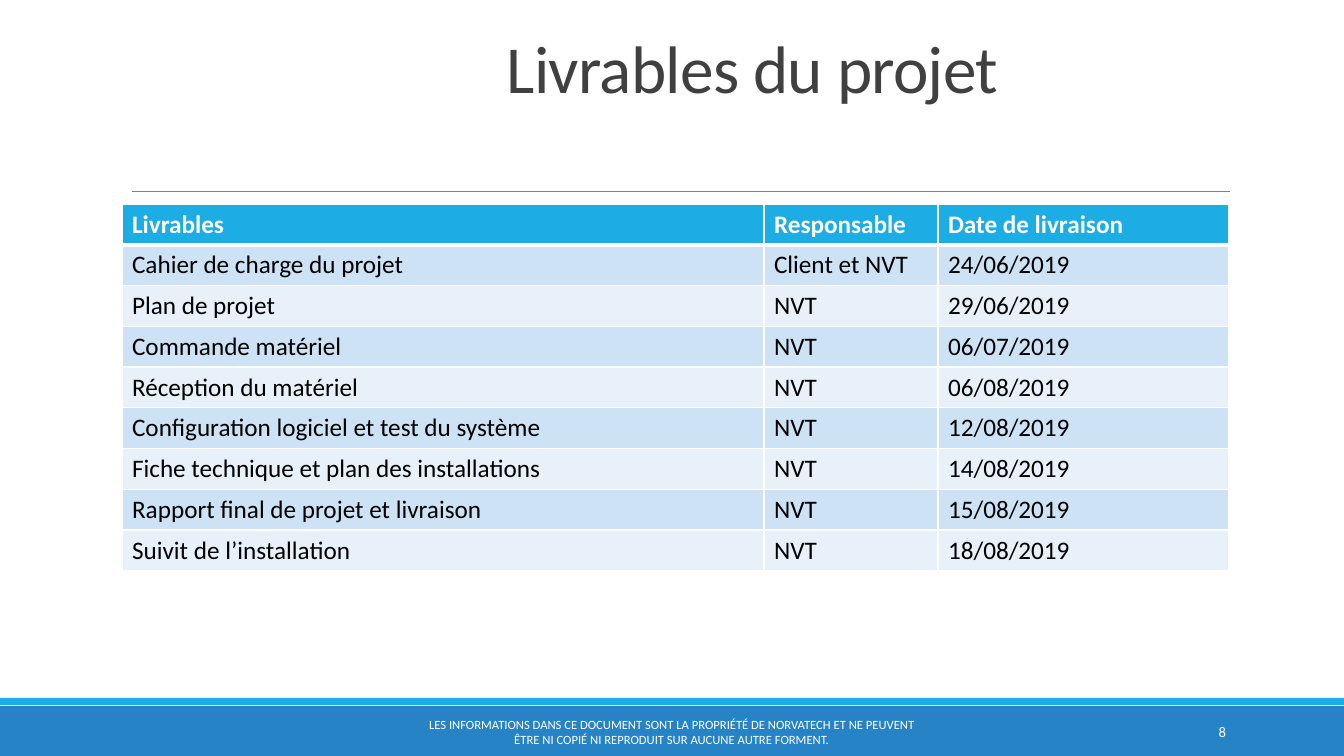
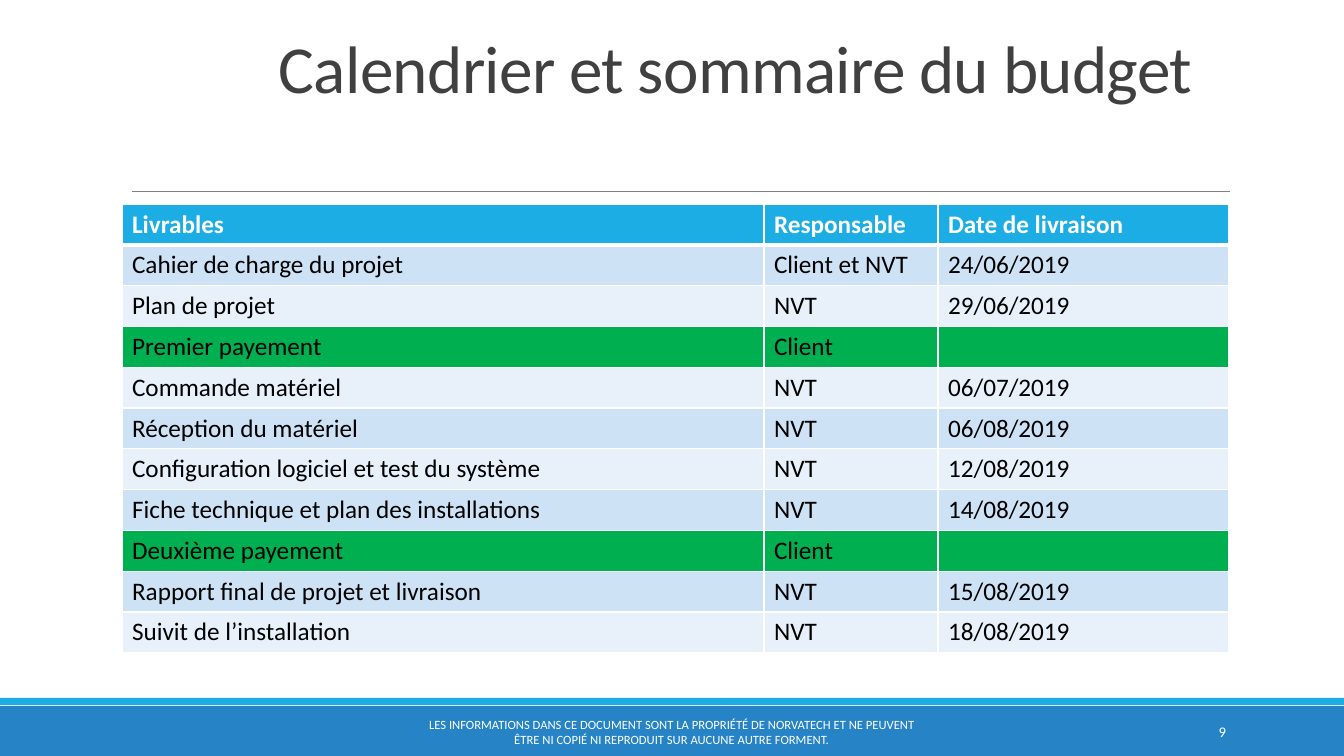
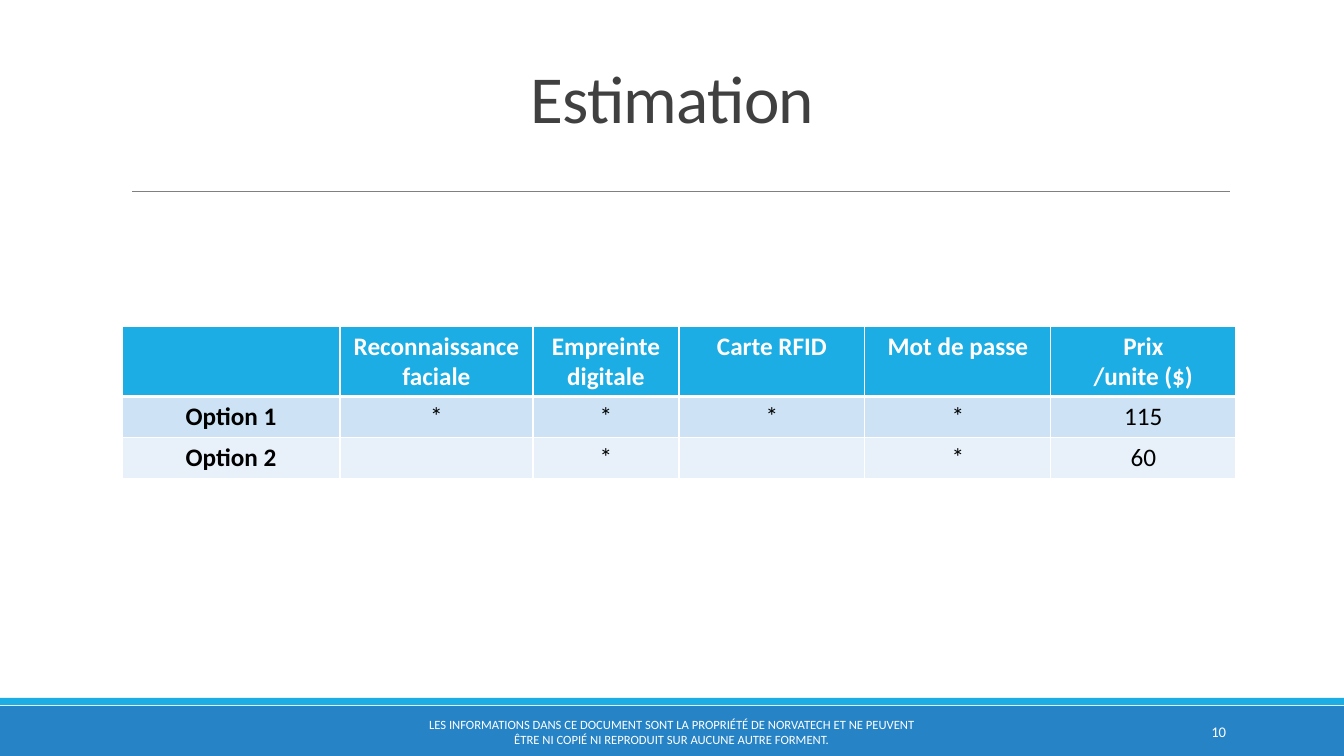
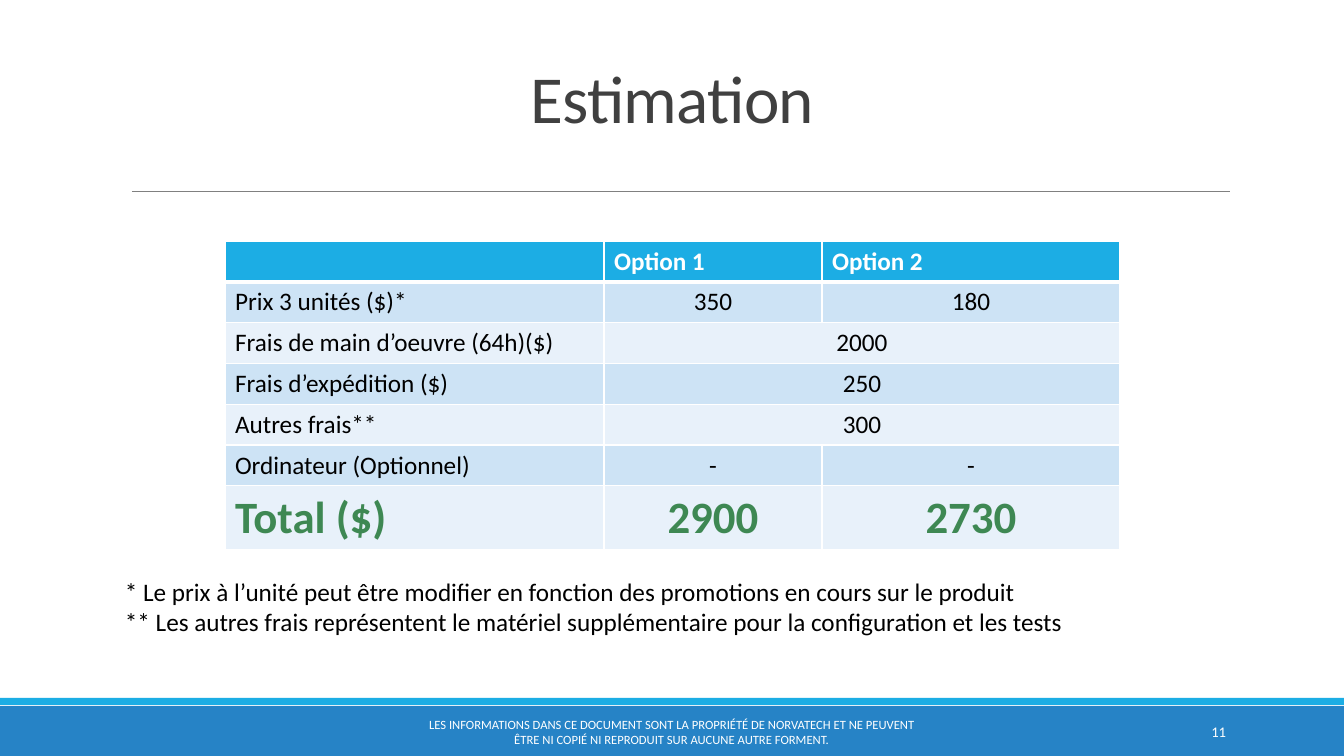
from dataclasses import dataclass, replace

from lxml.etree import SubElement
from pptx import Presentation
from pptx.dml.color import RGBColor
from pptx.enum.shapes import MSO_CONNECTOR, MSO_SHAPE
from pptx.enum.text import MSO_ANCHOR, PP_ALIGN
from pptx.oxml.ns import qn
from pptx.util import Emu, Pt

SCALE = 12192000 / 1344
WIDTH, HEIGHT = 1344, 756
FONT = "Calibri"

WHITE = RGBColor(0xFF, 0xFF, 0xFF)
BLACK = RGBColor(0x00, 0x00, 0x00)
CHARCOAL = RGBColor(0x40, 0x40, 0x40)
GREY = RGBColor(0x80, 0x80, 0x80)
BLUE = RGBColor(0x26, 0x83, 0xC6)
CYAN = RGBColor(0x1C, 0xAD, 0xE4)
BAND_DARK = RGBColor(0xCD, 0xE3, 0xF5)
BAND_LIGHT = RGBColor(0xE8, 0xF1, 0xFA)
PAYMENT_GREEN = RGBColor(0x00, 0xB0, 0x50)
TOTAL_GREEN = RGBColor(0x3E, 0x88, 0x53)

NOTICE = ("LES INFORMATIONS DANS CE DOCUMENT SONT LA PROPRIÉTÉ DE NORVATECH ET NE PEUVENT "
          "ÊTRE NI COPIÉ NI REPRODUIT SUR AUCUNE AUTRE FORMENT.")


def px(length):
    return Emu(round(length * SCALE))


@dataclass(frozen=True)
class TextStyle:
    size: float = 18
    color: RGBColor = BLACK
    bold: bool = False
    align: PP_ALIGN = PP_ALIGN.LEFT
    line_spacing: float = 1.0
    tracking: int = 0


BODY = TextStyle()
CENTRED = replace(BODY, align=PP_ALIGN.CENTER)
HEADER = replace(BODY, color=WHITE, bold=True)
CENTRED_HEADER = replace(HEADER, align=PP_ALIGN.CENTER)
TOTAL = TextStyle(32, TOTAL_GREEN, True)
TITLE = TextStyle(48, CHARCOAL, align=PP_ALIGN.CENTER, line_spacing=0.85, tracking=-50)
FOOTER = TextStyle(9, WHITE, align=PP_ALIGN.CENTER)
NUMBER = TextStyle(10.5, WHITE, align=PP_ALIGN.RIGHT)


class Deck:
    def __init__(self, first_number):
        self.presentation = Presentation()
        self.presentation.slide_width = px(WIDTH)
        self.presentation.slide_height = px(HEIGHT)
        self.number = first_number
        self.slide = None

    def start(self, title, left, top, width):
        self.slide = self.presentation.slides.add_slide(self.presentation.slide_layouts[6])
        self.band(706, 50, BLUE)
        self.band(698, 7, CYAN)
        self.rule(132, 1230, 191)
        self.text(title, left, top, width, 85, TITLE, MSO_ANCHOR.BOTTOM)
        self.text(NOTICE, 406, 712, 531, 40, FOOTER, MSO_ANCHOR.MIDDLE)
        self.text(str(self.number), 1092, 712, 144, 40, NUMBER, MSO_ANCHOR.MIDDLE)
        self.number += 1

    def band(self, top, height, color):
        band = self.slide.shapes.add_shape(
            MSO_SHAPE.RECTANGLE, 0, px(top), px(WIDTH), px(height))
        band.shadow.inherit = False
        band.fill.solid()
        band.fill.fore_color.rgb = color
        band.line.fill.background()

    def rule(self, left, right, y):
        rule = self.slide.shapes.add_connector(
            MSO_CONNECTOR.STRAIGHT, px(left), px(y), px(right), px(y))
        rule.line.color.rgb = GREY
        rule.line.width = Pt(0.5)
        SubElement(rule._element.spPr, qn("a:effectLst"))

    def text(self, content, left, top, width, height, style, anchor=MSO_ANCHOR.TOP):
        box = self.slide.shapes.add_textbox(px(left), px(top), px(width), px(height))
        box.text_frame.word_wrap = True
        box.text_frame.vertical_anchor = anchor
        self.typeset(box.text_frame, content, style)

    def typeset(self, frame, content, style):
        for index, line in enumerate(content.split("\n")):
            paragraph = frame.add_paragraph() if index else frame.paragraphs[0]
            paragraph.alignment = style.align
            paragraph.line_spacing = style.line_spacing
            if not line:
                continue
            run = paragraph.add_run()
            run.text = line
            run.font.name = FONT
            run.font.size = Pt(style.size)
            run.font.bold = style.bold
            run.font.color.rgb = style.color
            if style.tracking:
                run._r.get_or_add_rPr().set("spc", str(style.tracking))

    def borders(self, cell, top, bottom):
        properties = cell._tc.get_or_add_tcPr()
        for side, points in (("L", 1), ("R", 1), ("T", top), ("B", bottom)):
            edge = SubElement(properties, qn(f"a:ln{side}"), w=str(Pt(points)))
            SubElement(SubElement(edge, qn("a:solidFill")), qn("a:srgbClr"), val=str(WHITE))

    def table(self, left, top, widths, heights, rows, style_of, highlighted=()):
        table = self.slide.shapes.add_table(
            len(rows), len(widths), px(left), px(top), px(sum(widths)), px(sum(heights))).table
        table.first_row = table.horz_banding = False
        for column, width in zip(table.columns, widths):
            column.width = px(width)
        for row, height in zip(table.rows, heights):
            row.height = px(height)
        for r, values in enumerate(rows):
            if r == 0:
                fill = CYAN
            elif r in highlighted:
                fill = PAYMENT_GREEN
            else:
                fill = BAND_DARK if r % 2 else BAND_LIGHT
            for c, value in enumerate(values):
                cell = table.cell(r, c)
                self.borders(cell, 3 if r == 1 else 1, 3 if r == 0 else 1)
                cell.fill.solid()
                cell.fill.fore_color.rgb = fill
                if value is None:
                    table.cell(r, c - 1).merge(cell)
                else:
                    self.typeset(cell.text_frame, value, style_of(r, c))


def schedule_style(row, column):
    return BODY if row else HEADER


def options_style(row, column):
    if row == 0:
        return CENTRED_HEADER
    return replace(CENTRED, bold=column == 0)


def costs_style(row, column):
    if row == 0:
        return HEADER
    style = TOTAL if row == len(COSTS) - 1 else BODY
    return replace(style, align=PP_ALIGN.CENTER) if column else style


SCHEDULE_HEADER = ("Livrables", "Responsable", "Date de livraison")
DELIVERABLES = [
    ("Cahier de charge du projet", "Client et NVT", "24/06/2019"),
    ("Plan de projet", "NVT", "29/06/2019"),
    ("Commande matériel", "NVT", "06/07/2019"),
    ("Réception du matériel", "NVT", "06/08/2019"),
    ("Configuration logiciel et test du système", "NVT", "12/08/2019"),
    ("Fiche technique et plan des installations", "NVT", "14/08/2019"),
    ("Rapport final de projet et livraison", "NVT", "15/08/2019"),
    ("Suivit de l’installation", "NVT", "18/08/2019"),
]
FIRST_PAYMENT = ("Premier payement", "Client", "")
SECOND_PAYMENT = ("Deuxième payement", "Client", "")
DELIVERY_PLAN = [SCHEDULE_HEADER, *DELIVERABLES]
PAYMENT_PLAN = [SCHEDULE_HEADER, *DELIVERABLES[:2], FIRST_PAYMENT,
                *DELIVERABLES[2:6], SECOND_PAYMENT, *DELIVERABLES[6:]]
PAYMENT_ROWS = [PAYMENT_PLAN.index(row) for row in (FIRST_PAYMENT, SECOND_PAYMENT)]
SCHEDULE_WIDTHS = (642, 174, 291)

OPTIONS = [
    ("", "Reconnaissance faciale", "Empreinte digitale", "Carte RFID", "Mot de passe",
     "Prix\n/unite ($)"),
    ("Option 1", "*", "*", "*", "*", "115"),
    ("Option 2", "", "*", "", "*", "60"),
]
COSTS = [
    ("", "Option 1", "Option 2"),
    ("Prix 3 unités ($)*", "350", "180"),
    ("Frais de main d’oeuvre (64h)($)", "2000", None),
    ("Frais d’expédition ($)", "250", None),
    ("Autres frais**", "300", None),
    ("Ordinateur (Optionnel)", "-", "-"),
    ("Total ($)", "2900", "2730"),
]
COST_NOTES = (
    "* Le prix à l’unité peut être modifier en fonction des promotions en cours sur le produit\n"
    "** Les autres frais représentent le matériel supplémentaire pour la configuration et les tests")

deck = Deck(first_number=8)

deck.start("Livrables du projet", 275, 27, 955)
deck.table(122, 204, SCHEDULE_WIDTHS, [367 / 9] * 9, DELIVERY_PLAN, schedule_style)

deck.start("Calendrier et sommaire du budget", 241, 27, 989)
deck.table(122, 204, SCHEDULE_WIDTHS, [449 / 11] * 11, PAYMENT_PLAN, schedule_style, PAYMENT_ROWS)

deck.start("Estimation", 195, 57, 955)
deck.table(122, 326, (218, 193, 146, 186, 186, 185), (70, 41, 41), OPTIONS, options_style)

deck.start("Estimation", 195, 57, 955)
deck.table(225, 241, (379, 218, 298), [245 / 6] * 6 + [64], COSTS, costs_style)
deck.text(COST_NOTES, 115, 571, 1075, 72, BODY)

deck.presentation.save("out.pptx")
